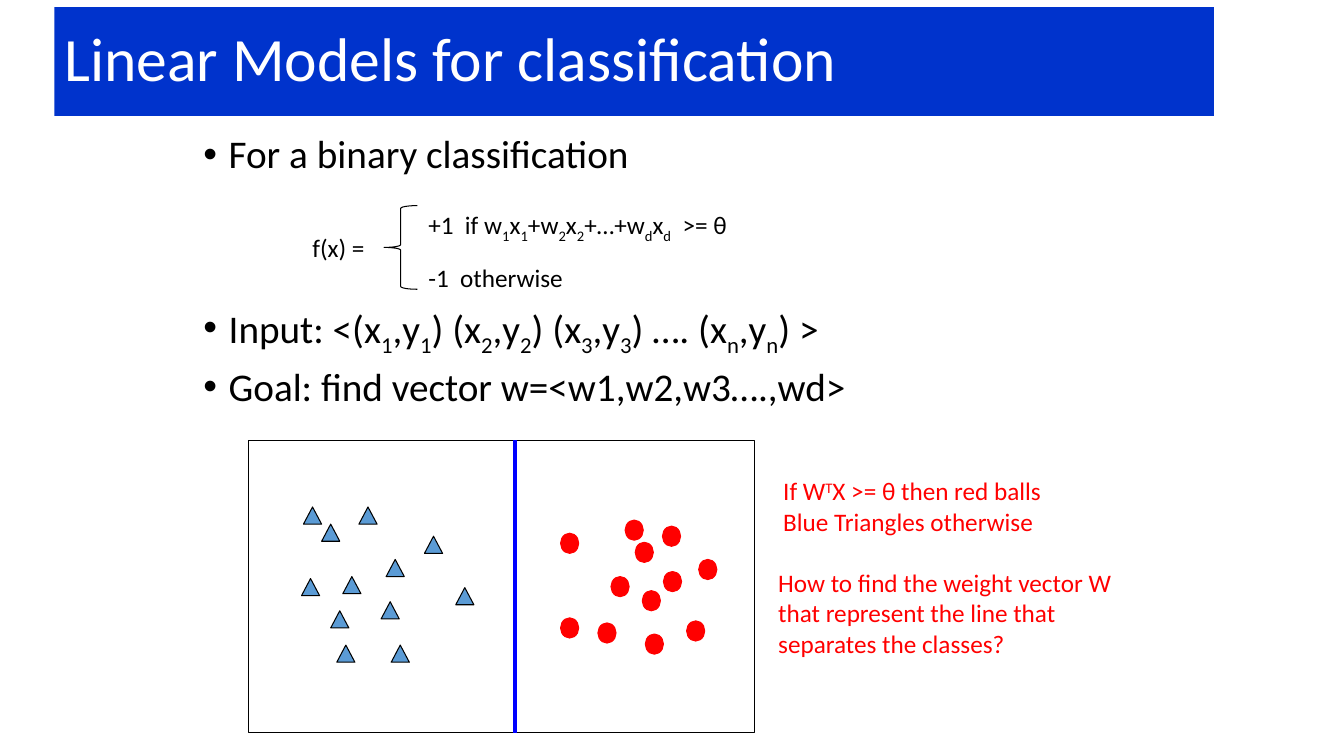
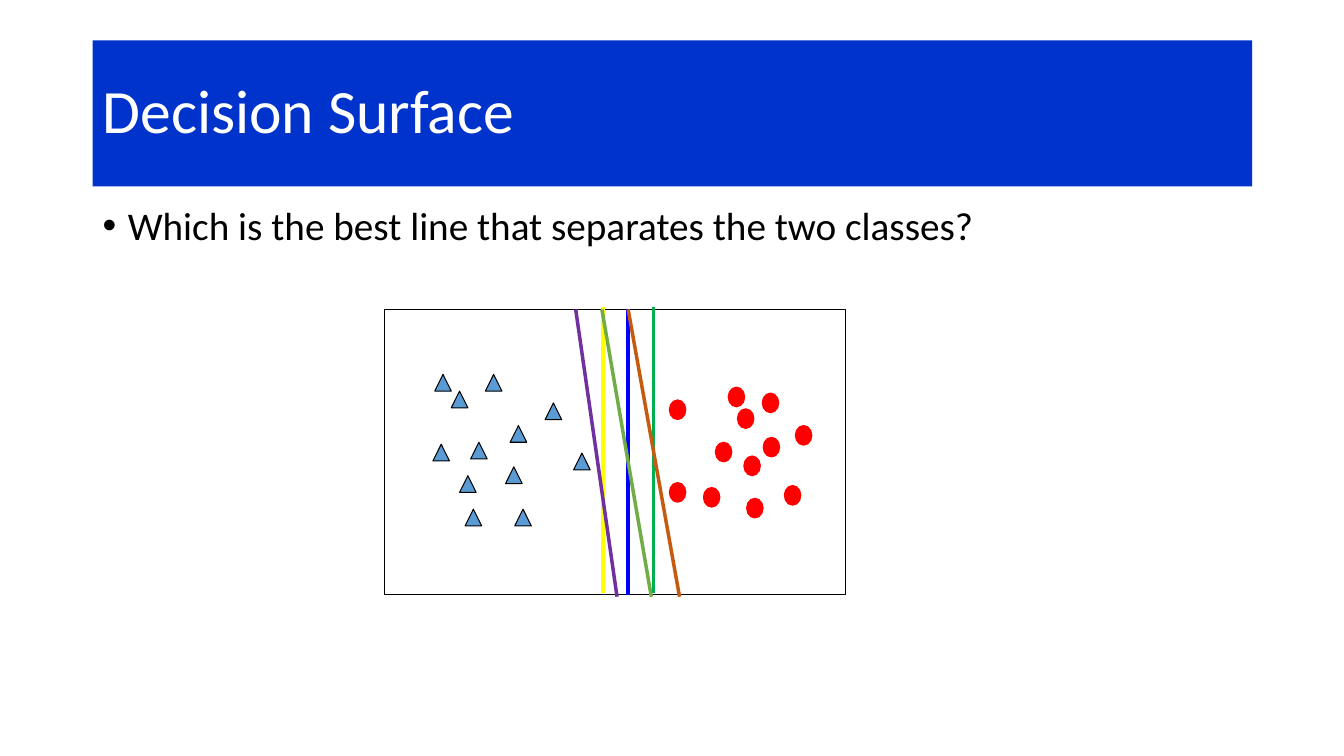
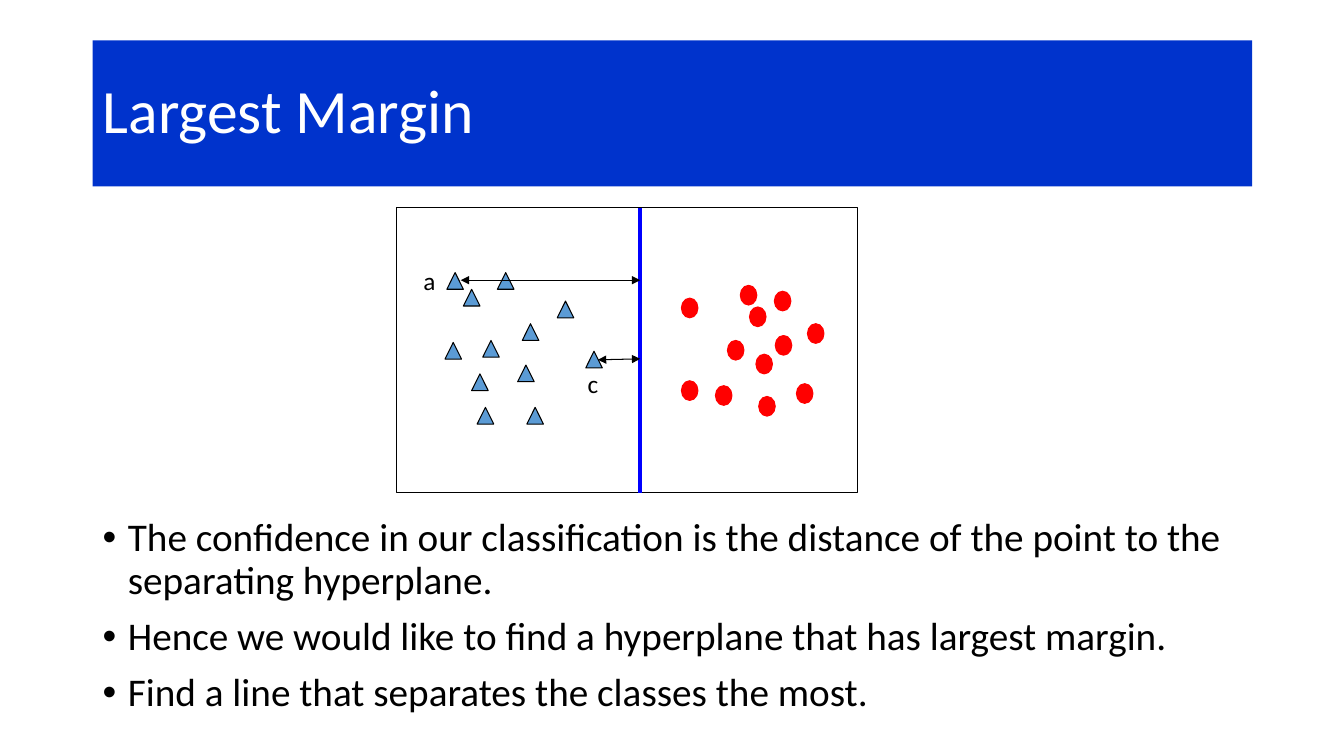
import pptx
import pptx.util
import pptx.dml.color
import pptx.enum.shapes
import pptx.enum.text
import pptx.oxml.ns
import lxml.etree

Inches = pptx.util.Inches
Pt = pptx.util.Pt
RGBColor = pptx.dml.color.RGBColor
MSO_SHAPE = pptx.enum.shapes.MSO_SHAPE
ANCHOR = pptx.enum.text.MSO_ANCHOR
qn = pptx.oxml.ns.qn

FONT = "Calibri"
BLACK = RGBColor(0x00, 0x00, 0x00)
WHITE = RGBColor(0xFF, 0xFF, 0xFF)
BAND = RGBColor(0x00, 0x33, 0xCC)
SKY = RGBColor(0x5B, 0x9B, 0xD5)
RED = RGBColor(0xFF, 0x00, 0x00)
BLUE = RGBColor(0x00, 0x00, 0xFF)
GREEN = RGBColor(0x00, 0xB0, 0x50)
YELLOW = RGBColor(0xFF, 0xFF, 0x00)
OLIVE = RGBColor(0x70, 0xAD, 0x47)
ORANGE = RGBColor(0xC5, 0x5A, 0x11)
PURPLE = RGBColor(0x70, 0x30, 0xA0)

PLOT_W, PLOT_H, DIVIDER_X = 5.02, 2.9, 2.65
SMALL_PLOT = (4.58, 2.83)
TRIANGLES = [
    (0.55, 0.66), (0.73, 0.83), (1.10, 0.66), (0.94, 1.35),
    (1.37, 1.18), (0.82, 1.69), (1.32, 1.60), (0.88, 2.03),
    (1.42, 2.03), (0.53, 1.37), (2.06, 1.46), (1.75, 0.95),
]
BALLS = [
    (3.10, 0.92), (3.60, 1.35), (3.91, 1.49), (3.84, 1.01),
    (4.12, 1.30), (4.11, 0.85), (4.47, 1.18), (3.94, 1.92),
    (3.47, 1.81), (3.10, 1.76), (4.35, 1.79), (3.74, 0.79),
]


def add_runs(p, text, size, color, baseline=-25):
    """Write text whose every second |-separated part is raised or lowered."""
    for i, part in enumerate(text.split("|")):
        r = p.add_run()
        r.text = part
        r.font.name = FONT
        r.font.size = Pt(size)
        r.font.color.rgb = color
        if i % 2:
            r.font._element.set("baseline", str(baseline * 1000))


def add_preset(shapes, kind, left, top, width, height, fill=None, line=None):
    sp = shapes.add_shape(kind, Inches(left), Inches(top), Inches(width), Inches(height))
    sp.shadow.inherit = False
    if fill is None:
        sp.fill.background()
    else:
        sp.fill.solid()
        sp.fill.fore_color.rgb = fill
    if line is None:
        sp.line.fill.background()
    else:
        sp.line.color.rgb = line
        sp.line.width = Pt(0.75)
    return sp


def add_title(s, text, left=0.92, top=0.4, height=1.45):
    sp = add_preset(s.shapes, MSO_SHAPE.RECTANGLE, left, top, 11.5, height, BAND)
    tf = sp.text_frame
    tf.word_wrap = True
    tf.vertical_anchor = ANCHOR.MIDDLE
    p = tf.paragraphs[0]
    p.alignment = pptx.enum.text.PP_ALIGN.LEFT
    p.line_spacing = 0.9
    add_runs(p, text, 44, WHITE)


def add_bullets(s, left, top, width, height, items):
    tf = s.shapes.add_textbox(Inches(left), Inches(top), Inches(width), Inches(height)).text_frame
    tf.word_wrap = True
    for i, (text, space) in enumerate(items):
        p = tf.add_paragraph() if i else tf.paragraphs[0]
        p.line_spacing = 0.9
        p.space_before = Pt(space)
        pPr = p._p.get_or_add_pPr()
        pPr.set("marL", str(Inches(0.25)))
        pPr.set("indent", str(Inches(-0.25)))
        lxml.etree.SubElement(pPr, qn("a:buFont")).set("typeface", "Arial")
        lxml.etree.SubElement(pPr, qn("a:buChar")).set("char", "•")
        add_runs(p, text, 28, BLACK)


def add_label(shapes, left, top, width, height, lines, color=BLACK, baseline=-25):
    tf = shapes.add_textbox(Inches(left), Inches(top), Inches(width), Inches(height)).text_frame
    tf.word_wrap = False
    tf.auto_size = pptx.enum.text.MSO_AUTO_SIZE.SHAPE_TO_FIT_TEXT
    for i, text in enumerate(lines):
        p = tf.add_paragraph() if i else tf.paragraphs[0]
        add_runs(p, text, 18, color, baseline)


def add_line(shapes, x1, y1, x2, y2, color, width=2.5, arrows=False):
    c = shapes.add_connector(
        pptx.enum.shapes.MSO_CONNECTOR.STRAIGHT,
        Inches(x1), Inches(y1), Inches(x2), Inches(y2))
    c.line.color.rgb = color
    c.line.width = Pt(width)
    if arrows:
        ln = c.line._get_or_add_ln()
        for end in ("a:headEnd", "a:tailEnd"):
            lxml.etree.SubElement(ln, qn(end)).set("type", "triangle")
    lxml.etree.SubElement(c._element.spPr, qn("a:effectLst"))


def add_plot(s, left, top, width=PLOT_W, height=PLOT_H):
    shapes = s.shapes.add_group_shape().shapes
    kx, ky = width / PLOT_W, height / PLOT_H
    add_preset(shapes, MSO_SHAPE.RECTANGLE, left, top, width, height, line=BLACK)
    for kind, points, mark_h, fill, line in (
            (MSO_SHAPE.FLOWCHART_EXTRACT, TRIANGLES, 0.17, SKY, BLACK),
            (MSO_SHAPE.FLOWCHART_CONNECTOR, BALLS, 0.2, RED, RED)):
        for x, y in points:
            add_preset(shapes, kind, left + x * kx, top + y * ky,
                       0.18 * kx, mark_h * ky, fill, line)
    divider = left + DIVIDER_X * kx
    add_line(shapes, divider, top, divider, top + height, BLUE)
    return shapes


def linear_models(s):
    add_title(s, "Linear Models for classification", 0.54, 0.07, 1.08)
    add_bullets(s, 1.92, 1.29, 8.94, 2.92, [
        ("For a binary classification", 10),
        ("Input: <(x|1|,y|1|) (x|2|,y|2|) (x|3|,y|3|) …. (x|n|,y|n|) >", 91.5),
        ("Goal: find vector w=<w1,w2,w3….,wd>", 10),
    ])
    formula = s.shapes.add_group_shape().shapes
    add_label(formula, 3, 2.26, 0.78, 0.4, ["f(x) = "])
    add_preset(formula, MSO_SHAPE.LEFT_BRACE, 3.81, 2.04, 0.33, 0.83, line=BLACK)
    add_label(formula, 4.15, 2.03, 3.26, 0.4,
              ["+1  if w|1|x|1|+w|2|x|2|+…+w|d|x|d|  >= θ"])
    add_label(formula, 4.15, 2.55, 1.55, 0.4, ["-1  otherwise"])
    add_plot(s, 2.46, 4.37)
    add_label(s.shapes, 7.67, 4.67, 2.86, 0.71,
              ["If W|T|X >= θ then red balls ", "Blue Triangles otherwise"], RED, 30)
    add_label(s.shapes, 7.62, 5.58, 3.55, 1.01,
              ["How to find the weight vector W", "that represent the line that ",
               "separates the classes?"], RED)


def decision_surface(s):
    add_title(s, "Decision Surface")
    add_bullets(s, 0.92, 2, 11.5, 4.76,
                [("Which is the best line that separates the two classes?", 10)])
    plot = add_plot(s, 3.81, 3.07, *SMALL_PLOT)
    for x1, y1, x2, y2, color in (
            (6.48, 3.05, 6.48, 5.88, GREEN),
            (5.98, 3.05, 5.98, 5.88, YELLOW),
            (5.97, 3.07, 6.46, 5.92, OLIVE),
            (6.23, 3.07, 6.74, 5.92, ORANGE),
            (5.71, 3.07, 6.12, 5.92, PURPLE)):
        add_line(plot, x1, y1, x2, y2, color)


def largest_margin(s):
    add_title(s, "Largest Margin")
    plot = add_plot(s, 3.93, 2.06, *SMALL_PLOT)
    add_line(plot, 5.93, 3.57, 6.35, 3.56, BLACK, 0.75, arrows=True)
    add_line(plot, 4.57, 2.78, 6.35, 2.78, BLACK, 0.75, arrows=True)
    add_label(plot, 4.1, 2.58, 0.32, 0.4, ["a"])
    add_label(plot, 5.73, 3.6, 0.31, 0.4, ["c"])
    add_bullets(s, 0.92, 5.09, 11.62, 2.08, [
        ("The confidence in our classification is the distance of the point "
         "to the separating hyperplane.", 10),
        ("Hence we would like to find a hyperplane that has largest margin.", 10),
        ("Find a line that separates the classes the most.", 10),
    ])


def main():
    prs = pptx.Presentation()
    prs.slide_width = Inches(13.33)
    prs.slide_height = Inches(7.5)
    for build in (linear_models, decision_surface, largest_margin):
        build(prs.slides.add_slide(prs.slide_layouts[6]))
    prs.save("out.pptx")


main()
